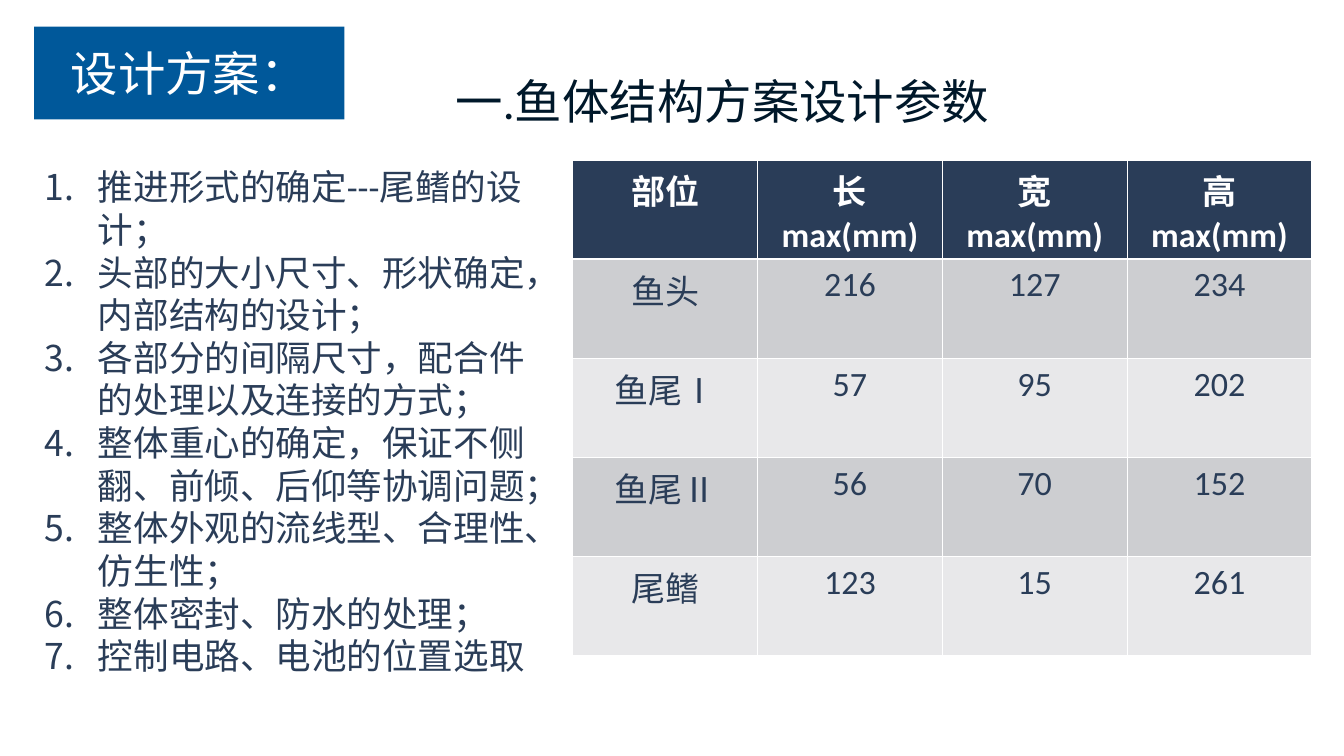
"""Build the slide with the design list and the size table of the fish body."""
from dataclasses import dataclass

from lxml import etree
from pptx import Presentation
from pptx.dml.color import RGBColor
from pptx.enum.shapes import MSO_SHAPE
from pptx.enum.text import MSO_ANCHOR, MSO_AUTO_SIZE, PP_ALIGN
from pptx.oxml.ns import qn
from pptx.util import Pt

PX = 9144
RECT = MSO_SHAPE.RECTANGLE
TOP, MIDDLE = MSO_ANCHOR.TOP, MSO_ANCHOR.MIDDLE
LEFT, CENTER = PP_ALIGN.LEFT, PP_ALIGN.CENTER
GROW = MSO_AUTO_SIZE.SHAPE_TO_FIT_TEXT
NAVY, WHITE, BLUE, INK = "2A3D58", "FFFFFF", "00589A", "00182A"
BANDS = ("E8E8EA", "CDCED1")
INDENT = 50


@dataclass(frozen=True)
class Box:
    """Place of an element in px."""
    left: int
    top: int
    width: int
    height: int

    def emu(self) -> tuple[int, ...]:
        """Return the place in EMU."""
        return tuple(n * PX for n in (self.left, self.top, self.width, self.height))


@dataclass(frozen=True)
class Style:
    """Look of a run of text."""
    size: int
    color: str
    name: str = "Calibri"
    bold: bool = False


TITLE = Style(32, INK)
LABEL = Style(32, WHITE, "Noto Sans CJK SC")
ITEM = Style(24, NAVY)
HEAD = Style(23, WHITE, bold=True)
BODY = Style(23, NAVY)

STEPS = (
    "推进形式的确定---尾鳍的设计；",
    "头部的大小尺寸、形状确定，内部结构的设计；",
    "各部分的间隔尺寸，配合件的处理以及连接的方式；",
    "整体重心的确定，保证不侧翻、前倾、后仰等协调问题；",
    "整体外观的流线型、合理性、仿生性；",
    "整体密封、防水的处理；",
    "控制电路、电池的位置选取",
)
SIZES = (
    ("部位", "长max(mm)", "宽max(mm)", "高max(mm)"),
    ("鱼头", "216", "127", "234"),
    ("鱼尾Ⅰ", "57", "95", "202"),
    ("鱼尾Ⅱ", "56", "70", "152"),
    ("尾鳍", "123", "15", "261"),
)


def rgb(color: str) -> RGBColor:
    """Turn a hex string into a colour."""
    return RGBColor.from_string(color)


def assign(target, values: dict) -> None:
    """Set each attribute in the dict."""
    for key, value in values.items():
        setattr(target, key, value)


def write(para, text: str, style: Style, align=LEFT) -> None:
    """Write one styled run into a paragraph."""
    para.alignment = align
    run = para.add_run()
    run.text = text
    assign(run.font, {"size": Pt(style.size), "name": style.name, "bold": style.bold})
    run.font.color.rgb = rgb(style.color)


def number(para) -> None:
    """Give a paragraph an automatic number and a hanging indent."""
    props = para._p.get_or_add_pPr()
    props.set("marL", str(INDENT * PX))
    props.set("indent", str(-INDENT * PX))
    etree.SubElement(props, qn("a:buFont"), typeface="+mj-lt")
    etree.SubElement(props, qn("a:buAutoNum"), type="arabicPeriod")


def add_title(slide, box: Box) -> None:
    """Move and fill the title placeholder."""
    title = slide.shapes.title
    assign(title, dict(zip(("left", "top", "width", "height"), box.emu())))
    frame = title.text_frame
    assign(frame, {"word_wrap": True, "vertical_anchor": TOP, "auto_size": GROW})
    para = frame.paragraphs[0]
    para.line_spacing = 2.0
    write(para, "一.鱼体结构方案设计参数", TITLE)


def add_label(slide, box: Box) -> None:
    """Draw the blue section label."""
    shape = slide.shapes.add_shape(RECT, *box.emu())
    shape.shadow.inherit = False
    shape.fill.solid()
    shape.fill.fore_color.rgb = rgb(BLUE)
    shape.line.fill.background()
    shape.text_frame.vertical_anchor = MIDDLE
    write(shape.text_frame.paragraphs[0], "设计方案：", LABEL, CENTER)


def add_steps(slide, box: Box) -> None:
    """Write the numbered list."""
    frame = slide.shapes.add_textbox(*box.emu()).text_frame
    assign(frame, {"word_wrap": True, "auto_size": GROW})
    for i, step in enumerate(STEPS):
        para = frame.add_paragraph() if i else frame.paragraphs[0]
        number(para)
        write(para, step, ITEM)


def add_sizes(slide, box: Box) -> None:
    """Draw the table of sizes."""
    shape = slide.shapes.add_table(len(SIZES), len(SIZES[0]), *box.emu())
    for r, row in enumerate(SIZES):
        for c, text in enumerate(row):
            cell = shape.table.cell(r, c)
            cell.fill.solid()
            cell.fill.fore_color.rgb = rgb(BANDS[r % 2] if r else NAVY)
            write(cell.text_frame.paragraphs[0], text, BODY if r else HEAD, CENTER)


def main() -> None:
    """Build and save the slide."""
    deck = Presentation()
    assign(deck, {"slide_width": 1260 * PX, "slide_height": 709 * PX})
    slide = deck.slides.add_slide(deck.slide_layouts.get_by_name("Title Only"))
    add_title(slide, Box(417, 9, 819, 102))
    add_label(slide, Box(32, 25, 291, 87))
    add_steps(slide, Box(32, 150, 496, 495))
    add_sizes(slide, Box(537, 150, 693, 465))
    deck.save("out.pptx")


if __name__ == "__main__":
    main()
